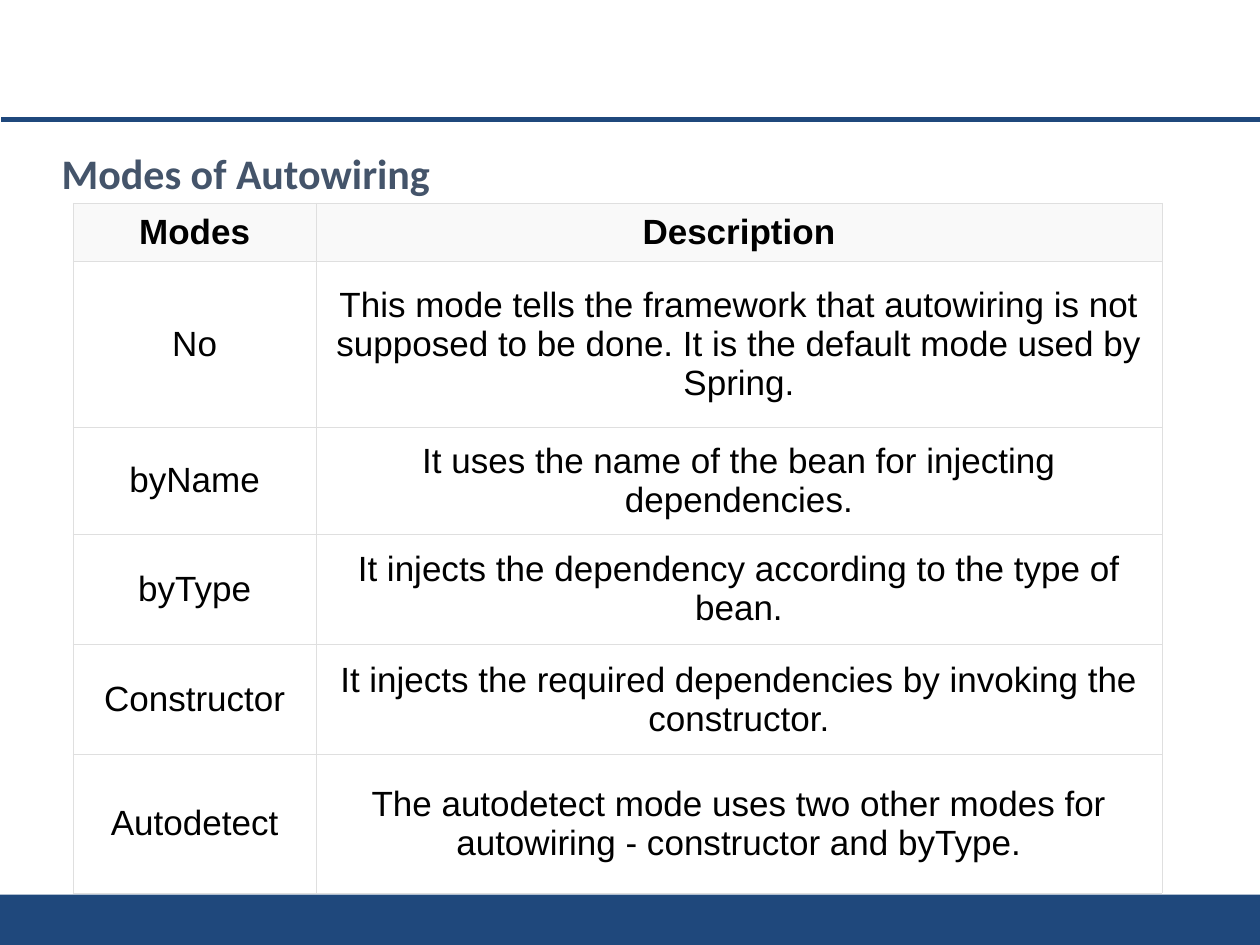
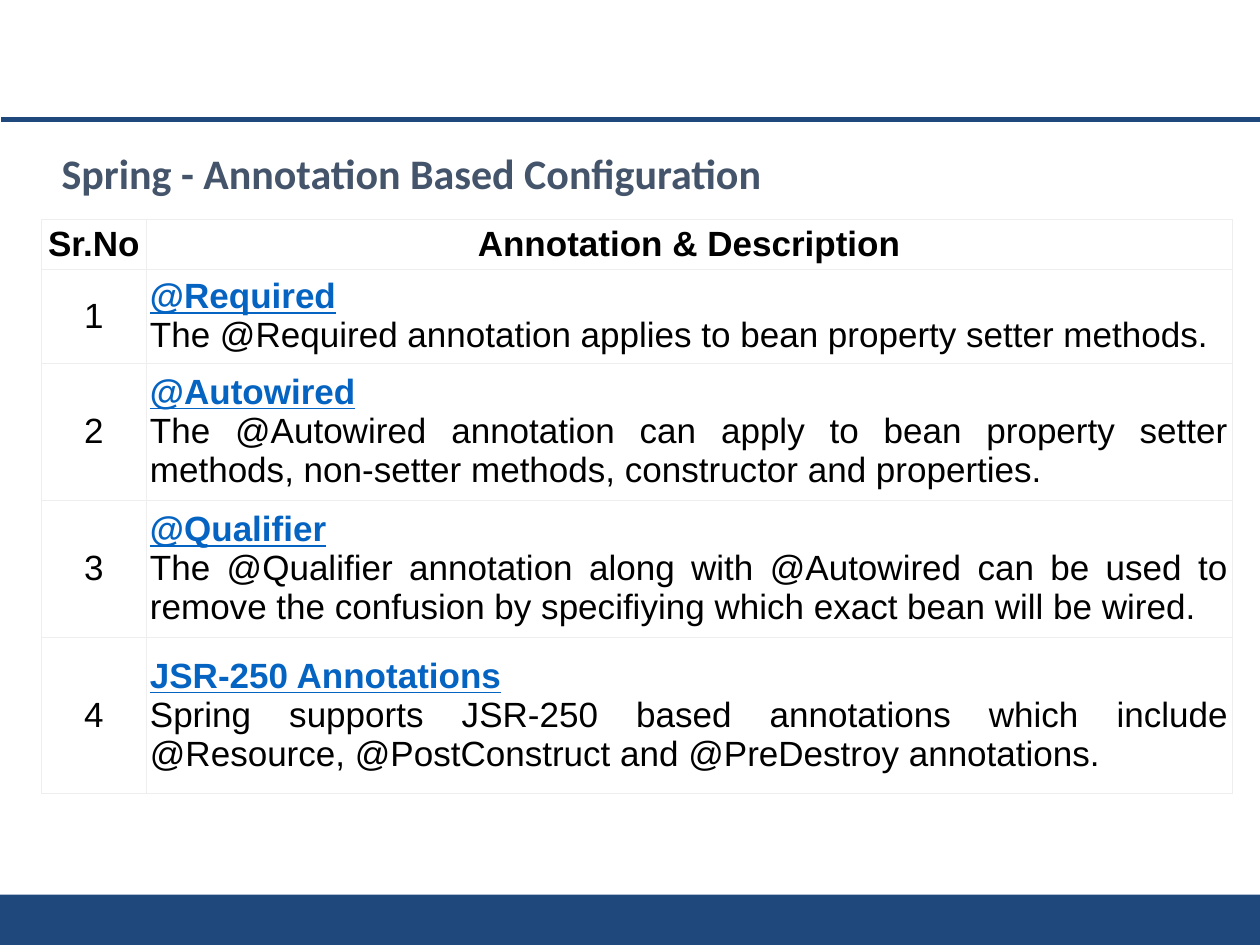
from dataclasses import dataclass
from lxml.etree import SubElement
from pptx import Presentation
from pptx.dml.color import RGBColor
from pptx.enum.shapes import MSO_CONNECTOR, MSO_SHAPE
from pptx.enum.text import MSO_ANCHOR, PP_ALIGN
from pptx.oxml import parse_xml
from pptx.oxml.ns import nsdecls, qn
from pptx.util import Inches, Pt


@dataclass(frozen=True)
class Theme:
    band: str = "1F487C"
    title: str = "44546A"
    ink: str = "000000"
    link: str = "0563C1"
    paper: str = "FFFFFF"
    head: str = "F9F9F9"
    title_font: str = "Calibri"
    body_font: str = "Arial"
    title_size: int = 24
    body_size: int = 20


theme = Theme()


def write(frame, text, first=True, align=PP_ALIGN.LEFT, font=theme.body_font,
          size=theme.body_size, color=theme.ink, bold=False, line=False):
    para = frame.paragraphs[0] if first else frame.add_paragraph()
    para.alignment = align
    run = para.add_run()
    run.text = text
    run.font.name, run.font.size = font, Pt(size)
    run.font.bold, run.font.underline = bold, line
    run.font.color.rgb = RGBColor.from_string(color)


def border(cell, color, width):
    props = cell._tc.get_or_add_tcPr()
    for spot, side in enumerate(("lnL", "lnR", "lnT", "lnB")):
        props.insert(spot, parse_xml(
            f'<a:{side} {nsdecls("a")} w="{Pt(width)}"><a:solidFill>'
            f'<a:srgbClr val="{color}"/></a:solidFill></a:{side}>'))


# Content: each cell is a plain text, or a (link, text) pair
modes = [
    ("Modes", "Description"),
    ("No", "This mode tells the framework that autowiring is not supposed to be done. "
           "It is the default mode used by Spring."),
    ("byName", "It uses the name of the bean for injecting dependencies."),
    ("byType", "It injects the dependency according to the type of bean."),
    ("Constructor", "It injects the required dependencies by invoking the constructor."),
    ("Autodetect", "The autodetect mode uses two other modes for autowiring - "
                   "constructor and byType."),
]
notes = [
    ("Sr.No", "Annotation & Description"),
    ("1", ("@Required",
           "The @Required annotation applies to bean property setter methods.")),
    ("2", ("@Autowired",
           "The @Autowired annotation can apply to bean property setter methods, "
           "non-setter methods, constructor and properties.")),
    ("3", ("@Qualifier",
           "The @Qualifier annotation along with @Autowired can be used to remove "
           "the confusion by specifiying which exact bean will be wired.")),
    ("4", ("JSR-250 Annotations",
           "Spring supports JSR-250 based annotations which include @Resource, "
           "@PostConstruct and @PreDestroy annotations.")),
]

# Places and sizes count grid units: 100 columns by 100 rows
pages = [
    dict(title="Modes of Autowiring", cells=modes, left=5.8, top=21.47,
         wide=[19.3, 67.1], high=[6.13, 17.6, 11.2, 11.73, 11.6, 14.67],
         head=theme.head, edge="DFDFDF", width=0.15, pad=(0.06, 0.09)),
    dict(title="Spring - Annotation Based Configuration", cells=notes, left=3.3, top=23.2,
         wide=[8.3, 86.2], high=[5.33, 9.87, 14.53, 14.53, 16.53],
         head=theme.paper, edge="EEEEEE", width=0.37, pad=(0.03, 0.03)),
]

deck = Presentation()
deck.slide_width, deck.slide_height = Inches(10), Inches(7.5)
col, row = deck.slide_width / 100, deck.slide_height / 100

for page in pages:
    slide = deck.slides.add_slide(deck.slide_layouts[6])
    shapes = slide.shapes

    # Footer band
    band = shapes.add_shape(MSO_SHAPE.RECTANGLE, 0, int(94.67 * row),
                            int(100 * col), int(5.33 * row))
    band.shadow.inherit = False
    band.fill.solid()
    band.fill.fore_color.rgb = RGBColor.from_string(theme.band)
    band.line.fill.background()

    # Title
    box = shapes.add_textbox(int(3.9 * col), int(14.93 * row), int(62.8 * col), int(6.67 * row))
    box.text_frame.word_wrap = True
    write(box.text_frame, page["title"], font=theme.title_font,
          size=theme.title_size, color=theme.title, bold=True)

    # Rule above the title
    level = int(12.67 * row)
    rule = shapes.add_connector(MSO_CONNECTOR.STRAIGHT, int(0.1 * col), level,
                                int(100 * col), level)
    rule.line.color.rgb = RGBColor.from_string(theme.band)
    rule.line.width = Pt(3)
    SubElement(rule._element.spPr, qn("a:effectLst"))

    # Table
    cells, wide, high = page["cells"], page["wide"], page["high"]
    grid = shapes.add_table(len(high), len(wide), int(page["left"] * col),
                            int(page["top"] * row), int(sum(wide) * col),
                            int(sum(high) * row)).table
    grid.first_row = grid.horz_banding = False
    for track, share in zip(grid.columns, wide):
        track.width = int(share * col)
    for track, share in zip(grid.rows, high):
        track.height = int(share * row)

    for r, texts in enumerate(cells):
        for c, text in enumerate(texts):
            cell = grid.cell(r, c)
            cell.vertical_anchor = MSO_ANCHOR.MIDDLE
            side, rise = page["pad"]
            cell.margin_left = cell.margin_right = Inches(side)
            cell.margin_top = cell.margin_bottom = Inches(rise if r else min(rise, 0.06))
            cell.fill.solid()
            cell.fill.fore_color.rgb = RGBColor.from_string(theme.paper if r else page["head"])
            border(cell, page["edge"], page["width"])
            if isinstance(text, tuple):
                link, body = text
                write(cell.text_frame, link, align=PP_ALIGN.JUSTIFY,
                      color=theme.link, bold=True, line=True)
                write(cell.text_frame, body, first=False, align=PP_ALIGN.JUSTIFY)
            else:
                write(cell.text_frame, text, align=PP_ALIGN.CENTER, bold=r == 0)

deck.save("out.pptx")
